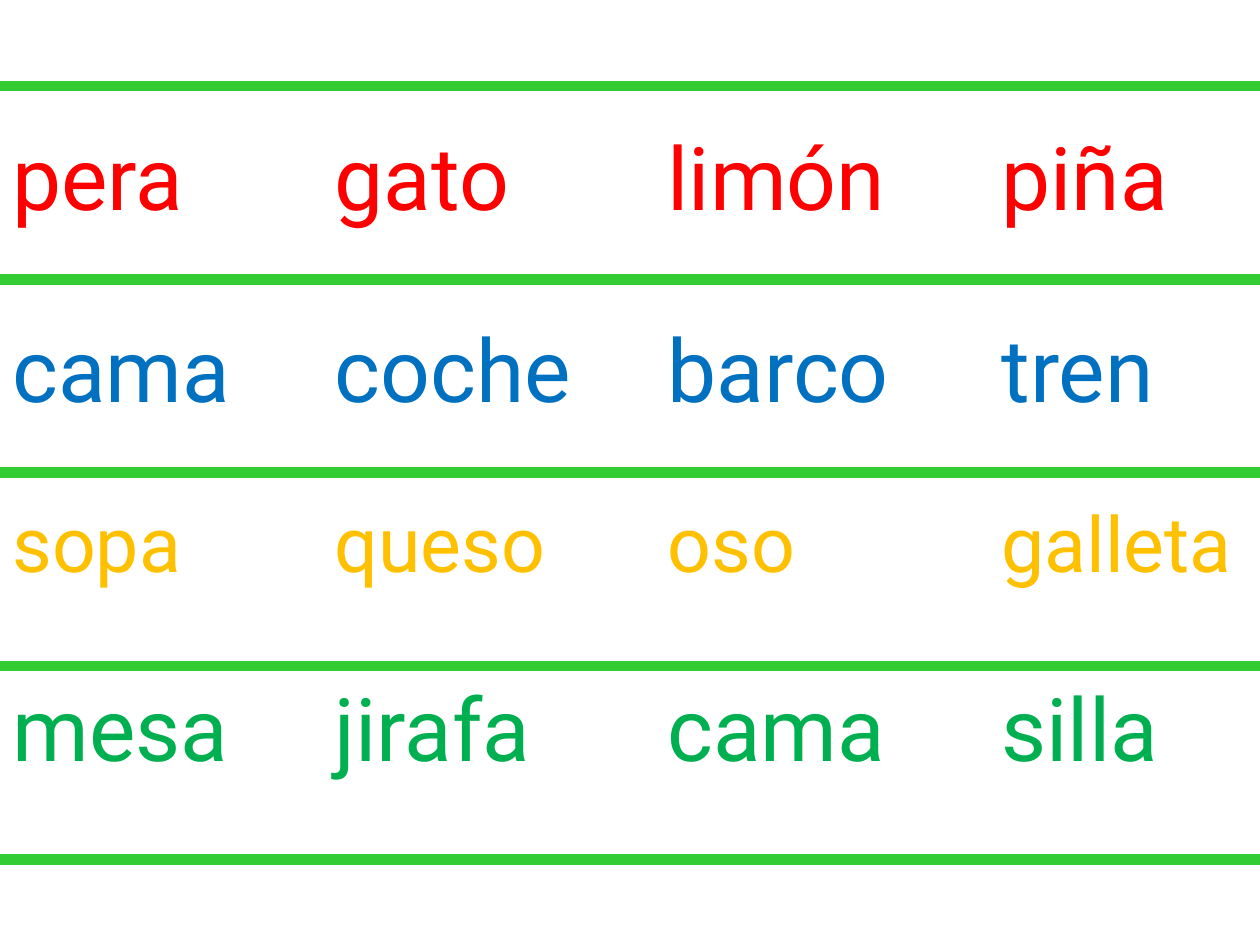
from dataclasses import dataclass

from lxml.etree import SubElement
from pptx import Presentation
from pptx.dml.color import RGBColor
from pptx.enum.shapes import MSO_CONNECTOR as Connector
from pptx.enum.text import MSO_AUTO_SIZE as AutoSize
from pptx.oxml.ns import qn
from pptx.util import Cm, Pt

COLORS = {
    "red": "FF0000",
    "blue": "0070C0",
    "yellow": "FFC000",
    "green": "00B050",
    "rule": "33CC33",
}
PAGE_WIDTH, PAGE_HEIGHT = Cm(25.4), Cm(19.05)
TOP, ROW_HEIGHT = 1.73, 3.9  # centimetres
TAB_STOPS = (6.5, 13.21, 19.94)  # centimetres


@dataclass
class WordRow:
    words: tuple[str, ...]
    color: str
    size: float = 50
    space_before: float = 31.2


ROWS = [
    WordRow(("pera", "gato", "limón", "piña"), "red", space_before=0),
    WordRow(("cama", "coche", "barco", "tren"), "blue"),
    WordRow(("sopa", "queso", "oso", "galleta"), "yellow", 44, 27.5),
    WordRow(("mesa", "jirafa", "cama", "silla"), "green"),
]


def set_values(target, values: dict) -> None:
    for name, value in values.items():
        setattr(target, name, value)


def write_row(para, row: WordRow) -> None:
    tabs = SubElement(para._p.get_or_add_pPr(), qn("a:tabLst"))
    for stop in TAB_STOPS:
        SubElement(tabs, qn("a:tab"), pos=str(int(Cm(stop))), algn="l")
    set_values(para, {"line_spacing": 1.3, "space_before": Pt(row.space_before)})
    span = para.add_run()
    span.text = "\t".join(row.words)
    set_values(span.font, {"name": "Roboto", "size": Pt(row.size)})
    span.font.color.rgb = RGBColor.from_string(COLORS[row.color])


def draw_rule(page, height: float) -> None:
    rule = page.shapes.add_connector(
        Connector.STRAIGHT, 0, Cm(height), PAGE_WIDTH, Cm(height)
    )
    rule.line.width = Pt(6)
    rule.line.color.rgb = RGBColor.from_string(COLORS["rule"])
    SubElement(rule._element.spPr, qn("a:effectLst"))


def main() -> None:
    deck = Presentation()
    set_values(deck, {"slide_width": PAGE_WIDTH, "slide_height": PAGE_HEIGHT})
    page = deck.slides.add_slide(deck.slide_layouts[6])

    # Word rows, with columns on tab stops
    box = page.shapes.add_textbox(0, Cm(TOP), PAGE_WIDTH, Cm(14.12))
    frame = box.text_frame
    set_values(frame, {"word_wrap": True, "auto_size": AutoSize.SHAPE_TO_FIT_TEXT})
    for index, row in enumerate(ROWS):
        write_row(frame.add_paragraph() if index else frame.paragraphs[0], row)

    # Rules above, between and below the rows
    for index in range(len(ROWS) + 1):
        draw_rule(page, TOP + index * ROW_HEIGHT)

    deck.save("out.pptx")


if __name__ == "__main__":
    main()
